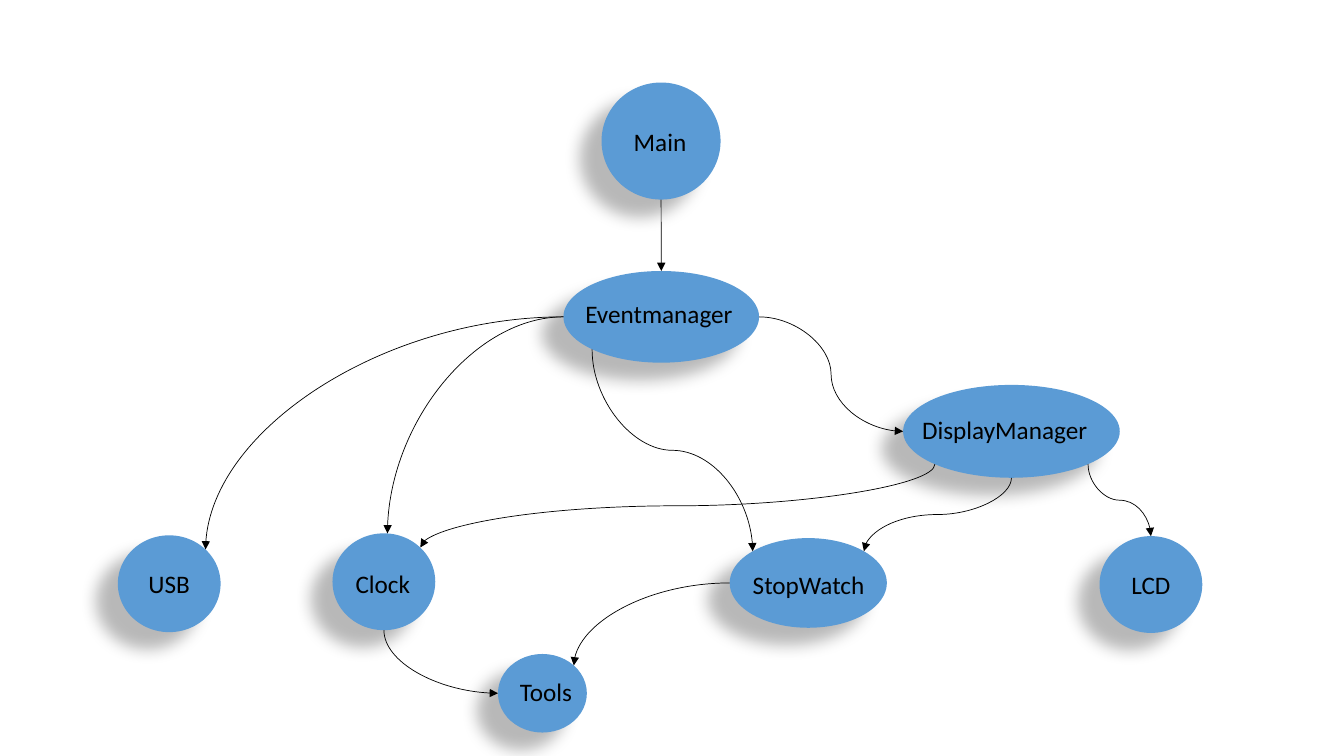
from dataclasses import dataclass
from math import cos, radians, sin

from lxml.etree import SubElement
from pptx import Presentation
from pptx.dml.color import RGBColor
from pptx.enum.shapes import MSO_CONNECTOR, MSO_SHAPE
from pptx.enum.text import MSO_ANCHOR, MSO_AUTO_SIZE, PP_ALIGN
from pptx.oxml.ns import qn
from pptx.util import Cm, Pt


@dataclass(frozen=True)
class Theme:
    node: RGBColor = RGBColor(0x5B, 0x9B, 0xD5)
    ink: RGBColor = RGBColor(0, 0, 0)
    font: str = "Calibri"
    size: Pt = Pt(18)
    line: Pt = Pt(0.5)
    shadow_blur: Pt = Pt(11.8)
    shadow_distance: Pt = Pt(19.7)
    shadow_angle: int = 141
    shadow_opacity: int = 28


THEME = Theme()
LABEL_HEIGHT = 1.02

# Modules: ellipse (left, top, width, height), label (left, top, width)
# or None when the text sits in the ellipse, and whether both are grouped
MODULES = {
    "Main": ((15.16, 2.08, 3.00, 2.95), (15.72, 3.07, 2.69), False),
    "Eventmanager": ((14.20, 6.83, 4.93, 2.31), (14.50, 7.39, 4.50), False),
    "Clock": ((8.38, 13.44, 2.59, 2.44), (8.71, 14.20, 2.44), True),
    "StopWatch": ((18.39, 13.56, 3.96, 2.26), (18.72, 14.22, 4.04), True),
    "DisplayManager": ((22.76, 9.70, 5.46, 2.34), (22.99, 10.31, 4.80), True),
    "Tools": ((12.55, 16.48, 2.24, 1.98), (12.85, 16.92, 2.44), True),
    "LCD": ((27.71, 13.51, 2.59, 2.44), None, False),
    "USB": ((2.97, 13.49, 2.59, 2.44), None, False),
}

# Sites on an ellipse, in degrees clockwise from the right
SITES = {"right": 0, "lower right": 45, "bottom": 90, "lower left": 135,
         "left": 180, "upper left": 225, "top": 270, "upper right": 315,
         "near top": 274}
STRAIGHT, BEND, WAVE = "line", "curvedConnector2", "curvedConnector3"

# Calls: caller, its site, callee, its site, form of the arrow
CALLS = [
    ("Main", "bottom", "Eventmanager", "top", STRAIGHT),
    ("Eventmanager", "right", "DisplayManager", "left", WAVE),
    ("Eventmanager", "left", "Clock", "near top", BEND),
    ("StopWatch", "left", "Tools", "upper right", BEND),
    ("Clock", "bottom", "Tools", "left", BEND),
    ("Eventmanager", "left", "USB", "upper right", BEND),
    ("DisplayManager", "lower right", "LCD", "top", WAVE),
    ("Eventmanager", "lower left", "StopWatch", "upper left", WAVE),
    ("DisplayManager", "lower left", "Clock", "upper right", WAVE),
    ("DisplayManager", "bottom", "StopWatch", "upper right", WAVE),
]


def write(shape, text):
    shape.text_frame.text = text
    font = shape.text_frame.paragraphs[0].runs[0].font
    font.name, font.size = THEME.font, THEME.size
    font.color.rgb = THEME.ink


def add_shadow(shape):
    effects = SubElement(shape._element.spPr, qn("a:effectLst"))
    shadow = SubElement(
        effects, qn("a:outerShdw"), blurRad=str(int(THEME.shadow_blur)),
        dist=str(int(THEME.shadow_distance)),
        dir=str(THEME.shadow_angle * 60000), algn="ctr", rotWithShape="0")
    color = SubElement(shadow, qn("a:srgbClr"), val=str(THEME.ink))
    SubElement(color, qn("a:alpha"), val=str(THEME.shadow_opacity * 1000))


def add_module(shapes, name, ellipse_box, label_box, grouped):
    if grouped:
        shapes = shapes.add_group_shape().shapes
    ellipse = shapes.add_shape(MSO_SHAPE.OVAL, *map(Cm, ellipse_box))
    ellipse.fill.solid()
    ellipse.fill.fore_color.rgb = THEME.node
    ellipse.line.fill.background()
    add_shadow(ellipse)
    if label_box:
        label = shapes.add_textbox(*map(Cm, (*label_box, LABEL_HEIGHT)))
        label.text_frame.word_wrap = True
        label.text_frame.auto_size = MSO_AUTO_SIZE.SHAPE_TO_FIT_TEXT
        write(label, name)
    else:
        write(ellipse, name)
        ellipse.text_frame.vertical_anchor = MSO_ANCHOR.MIDDLE
        ellipse.text_frame.paragraphs[0].alignment = PP_ALIGN.CENTER


def site_point(name, site):
    left, top, width, height = MODULES[name][0]
    angle = radians(SITES[site])
    return (left + width / 2 * (1 + cos(angle)),
            top + height / 2 * (1 + sin(angle)))


def add_call(shapes, caller, start_site, callee, end_site, form):
    start, end = site_point(caller, start_site), site_point(callee, end_site)
    # A curve that sets off downwards is a sideways one turned a quarter
    turned = form != STRAIGHT and start_site not in ("left", "right")
    if turned:
        middle_x, middle_y = (start[0] + end[0]) / 2, (start[1] + end[1]) / 2
        half_x, half_y = (end[0] - start[0]) / 2, (end[1] - start[1]) / 2
        start = (middle_x - half_y, middle_y + half_x)
        end = (middle_x + half_y, middle_y - half_x)
    kind = MSO_CONNECTOR.STRAIGHT if form == STRAIGHT else MSO_CONNECTOR.CURVE
    connector = shapes.add_connector(kind, *map(Cm, (*start, *end)))
    connector.line.width = THEME.line
    connector.line.color.rgb = THEME.ink
    properties = connector._element.spPr
    properties.find(qn("a:prstGeom")).set("prst", form)
    if turned:
        properties.find(qn("a:xfrm")).set("rot", str(90 * 60000))
    SubElement(properties.find(qn("a:ln")), qn("a:tailEnd"), type="triangle")
    SubElement(properties, qn("a:effectLst"))


presentation = Presentation()
presentation.slide_width, presentation.slide_height = Cm(33.87), Cm(19.05)
slide = presentation.slides.add_slide(presentation.slide_layouts[6])

# Modules first, then the calls between them
for module_name, module_parts in MODULES.items():
    add_module(slide.shapes, module_name, *module_parts)
for call in CALLS:
    add_call(slide.shapes, *call)

presentation.save("out.pptx")
